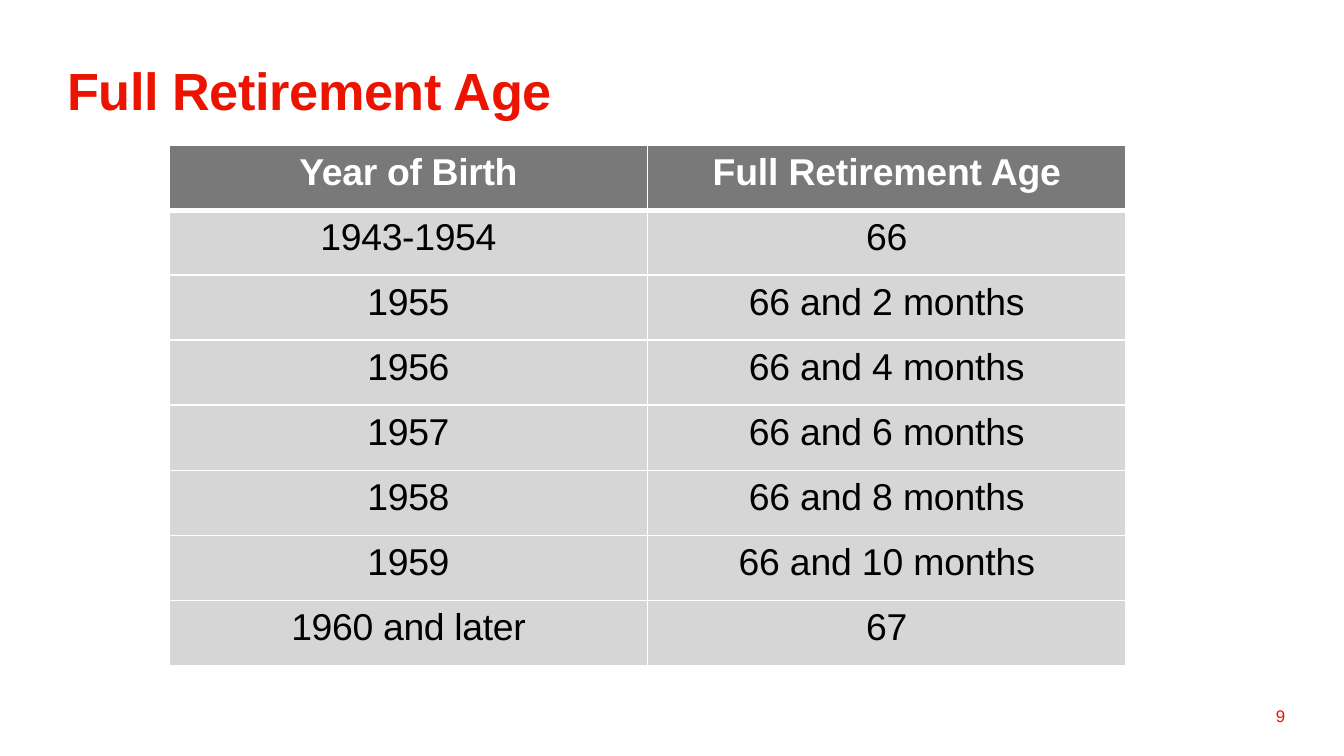
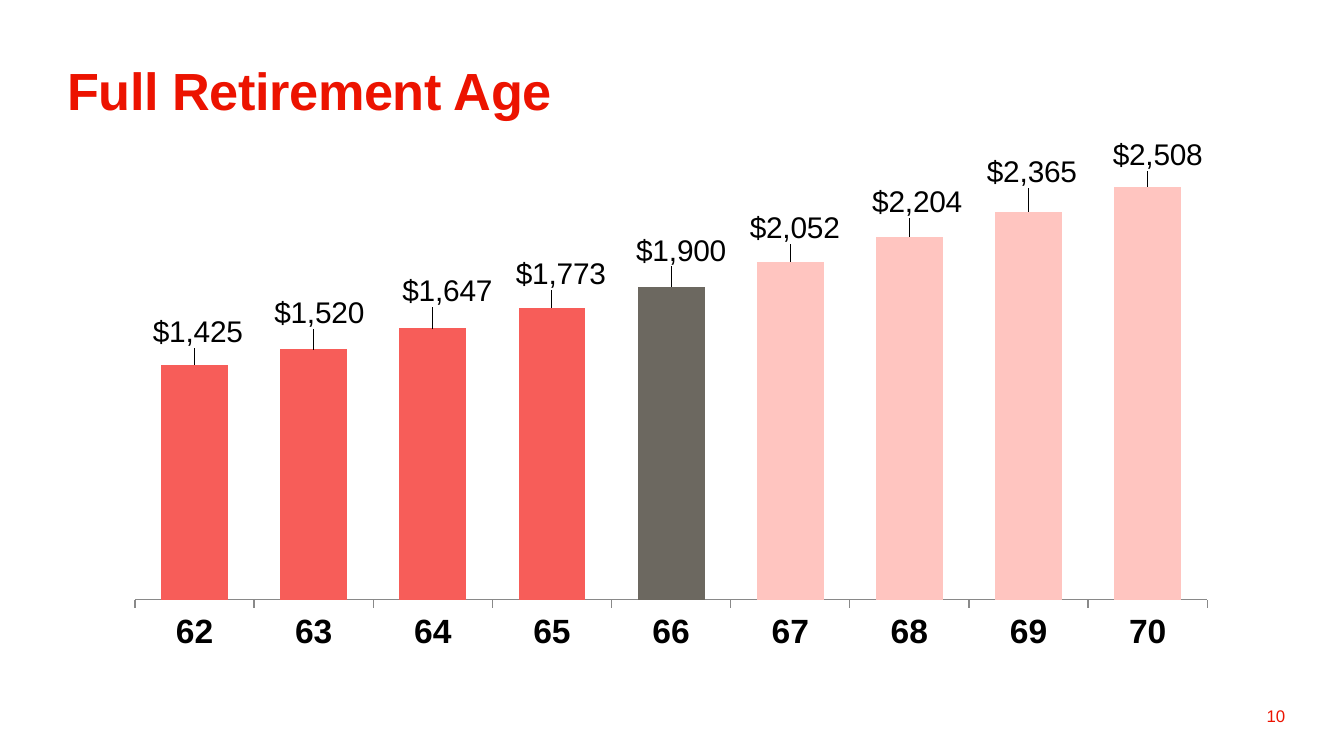
from dataclasses import dataclass

from lxml import etree
from pptx import Presentation
from pptx.chart.data import CategoryChartData
from pptx.dml.color import RGBColor
from pptx.enum.chart import XL_CHART_TYPE, XL_LABEL_POSITION, XL_TICK_LABEL_POSITION, XL_TICK_MARK
from pptx.enum.text import MSO_ANCHOR, PP_ALIGN
from pptx.oxml import parse_xml
from pptx.oxml.ns import nsdecls, qn
from pptx.util import Cm, Pt

LEFT, CENTER, RIGHT = PP_ALIGN.LEFT, PP_ALIGN.CENTER, PP_ALIGN.RIGHT
MIDDLE, BOTTOM = MSO_ANCHOR.MIDDLE, MSO_ANCHOR.BOTTOM
COLUMN = XL_CHART_TYPE.COLUMN_CLUSTERED
ABOVE = XL_LABEL_POSITION.OUTSIDE_END
LOW = XL_TICK_LABEL_POSITION.LOW
OUTSIDE, NO_TICK = XL_TICK_MARK.OUTSIDE, XL_TICK_MARK.NONE


@dataclass(frozen=True)
class Theme:
    font: str = "Arial"
    red: str = "EC1300"
    gray: str = "797979"
    white: str = "FFFFFF"
    black: str = "000000"
    line: str = "898989"
    early: str = "F75D59"
    full: str = "6C6860"
    late: str = "FFC5C0"
    title: float = 28
    cell: float = 20
    axis: float = 18
    label: float = 16
    page: float = 9


T = Theme()
TITLE_BOX = (1.02, 1.09, 22.86, 1.32)
PAGE_BOX = (18.62, 13.16, 5.92, 0.76)
TABLE_BOX = (3.2, 2.74, 18.08, 9.84)
CHART_BOX = (2.13, 1.78, 21.11, 10.74)

AGES = [
    ("Year of Birth", "Full Retirement Age"),
    ("1943-1954", "66"),
    ("1955", "66 and 2 months"),
    ("1956", "66 and 4 months"),
    ("1957", "66 and 6 months"),
    ("1958", "66 and 8 months"),
    ("1959", "66 and 10 months"),
    ("1960 and later", "67"),
]

# Age, benefit, label text, label shift as a share of the chart
BARS = [
    ("62", 1425, "$1,425", 0.003, -0.02),
    ("63", 1520, "$1,520", 0.005, -0.026),
    ("64", 1647, "$1,647", 0.013, -0.028),
    ("65", 1773, "$1,773", 0.008, -0.021),
    ("66", 1900, "$1,900", 0.009, -0.026),
    ("67", 2052, "$2,052", 0.004, -0.021),
    ("68", 2204, "$2,204", 0.007, -0.023),
    ("69", 2356, "$2,365", 0.003, -0.032),
    ("70", 2508, "$2,508", 0.009, -0.018),
]


def rgb(color):
    return RGBColor.from_string(color)


def style(font, size, color, bold=False):
    font.name, font.size, font.bold = T.font, Pt(size), bold
    font.color.rgb = rgb(color)


def put(frame, text, size, color=T.black, bold=False, align=LEFT, track=0):
    """Write one paragraph; track is letter spacing in points."""
    para = frame.paragraphs[0]
    para.alignment = align
    run = para.add_run()
    run.text = text
    style(run.font, size, color, bold)
    if track:
        run.font._element.set("spc", str(round(track * 100)))


def add_box(slide, box, text, anchor, **fmt):
    frame = slide.shapes.add_textbox(*map(Cm, box)).text_frame
    frame.word_wrap = True
    frame.vertical_anchor = anchor
    put(frame, text, **fmt)


def add_page(deck, title, number):
    """Blank slide with the shared title and page number."""
    slide = deck.slides.add_slide(deck.slide_layouts[6])
    add_box(slide, PAGE_BOX, str(number), MIDDLE,
            size=T.page, color=T.red, align=RIGHT)
    add_box(slide, TITLE_BOX, title, BOTTOM,
            size=T.title, color=T.red, bold=True, track=-0.2)
    return slide


def add_edges(cell, **widths):
    """White cell borders; widths in points by side."""
    props = cell._tc.get_or_add_tcPr()
    for side in ("L", "R", "T", "B"):
        props.append(parse_xml(
            f'<a:ln{side} {nsdecls("a")} w="{Pt(widths.get(side, 1))}">'
            f'<a:solidFill><a:srgbClr val="{T.white}"/></a:solidFill></a:ln{side}>'))


def fill_cell(cell, color, alpha=100):
    cell.fill.solid()
    cell.fill.fore_color.rgb = rgb(color)
    if alpha < 100:
        tone = cell._tc.tcPr.find(qn("a:solidFill")).find(qn("a:srgbClr"))
        etree.SubElement(tone, qn("a:alpha")).set("val", str(alpha * 1000))


def add_ages(slide, box, rows):
    """Table of birth years and retirement ages."""
    wide, high = box[2], box[3]
    count = len(rows[0])
    table = slide.shapes.add_table(len(rows), count, *map(Cm, box)).table
    table.horz_banding = False
    for col in table.columns:
        col.width = Cm(wide / count)
    for r, texts in enumerate(rows):
        table.rows[r].height = Cm(high / len(rows))
        head = r == 0
        for c, text in enumerate(texts):
            cell = table.cell(r, c)
            add_edges(cell, B=3 if head else 1, T=3 if r == 1 else 1)
            fill_cell(cell, T.gray, 100 if head else 30)
            put(cell.text_frame, text, size=T.cell, bold=head, align=CENTER,
                color=T.white if head else T.black, track=(-0.2, -0.1)[c])


def layout(inner="", **parts):
    """Manual chart layout with the given shares."""
    body = "".join(f'<c:{key} val="{val}"/>' for key, val in parts.items())
    return parse_xml(f'<c:layout {nsdecls("c")}><c:manualLayout>{inner}{body}'
                     '</c:manualLayout></c:layout>')


def tone(age):
    return T.early if age < 66 else T.full if age == 66 else T.late


def add_bars(slide, box, bars):
    """Column chart of the benefit at each claiming age."""
    data = CategoryChartData(number_format='"$"#,##0')
    data.categories = [bar[0] for bar in bars]
    data.add_series("Series 1", [bar[1] for bar in bars])
    chart = slide.shapes.add_chart(COLUMN, *map(Cm, box), data).chart
    chart.has_legend = chart.has_title = False
    style(chart.font, T.axis, T.black)

    # Axes
    base, scale = chart.category_axis, chart.value_axis
    base.tick_label_position = LOW
    base.major_tick_mark, base.minor_tick_mark = OUTSIDE, NO_TICK
    base.format.line.color.rgb = rgb(T.line)
    base.format.line.width = Pt(0.75)
    style(base.tick_labels.font, T.axis, T.black, bold=True)
    scale.minimum_scale, scale.maximum_scale = 0, 3000
    scale.has_major_gridlines = scale.visible = False

    # Plot area
    area = chart._chartSpace.chart.plotArea
    for old in area.findall(qn("c:layout")):
        area.remove(old)
    area.insert(0, layout('<c:layoutTarget val="inner"/>', xMode="edge",
                          yMode="edge", x=0.02, y=0.02, w=0.96, h=0.87))
    plot = chart.plots[0]
    plot.gap_width = 78
    plot.vary_by_categories = False

    # Bars and their labels
    series = plot.series[0]
    series.format.fill.solid()
    series.format.fill.fore_color.rgb = rgb(T.full)
    labels = series.data_labels
    labels.show_value = True
    labels.number_format, labels.number_format_is_linked = '"$"#,##0', False
    labels.position = ABOVE
    style(labels.font, T.label, T.black)
    for i, (age, _, text, dx, dy) in enumerate(bars):
        point = series.points[i]
        point.format.fill.solid()
        point.format.fill.fore_color.rgb = rgb(tone(int(age)))
        label = point.data_label
        label.text_frame.word_wrap = False
        put(label.text_frame, text, size=T.label, align=CENTER)
        label.position = ABOVE
    for node, bar in zip(labels._element.findall(qn("c:dLbl")), bars):
        node.insert(1, layout(x=bar[3], y=bar[4]))


def main():
    deck = Presentation()
    deck.slide_width, deck.slide_height = Cm(25.4), Cm(14.29)
    title = "Full Retirement Age"
    add_ages(add_page(deck, title, 9), TABLE_BOX, AGES)
    add_bars(add_page(deck, title, 10), CHART_BOX, BARS)
    deck.save("out.pptx")


if __name__ == "__main__":
    main()
